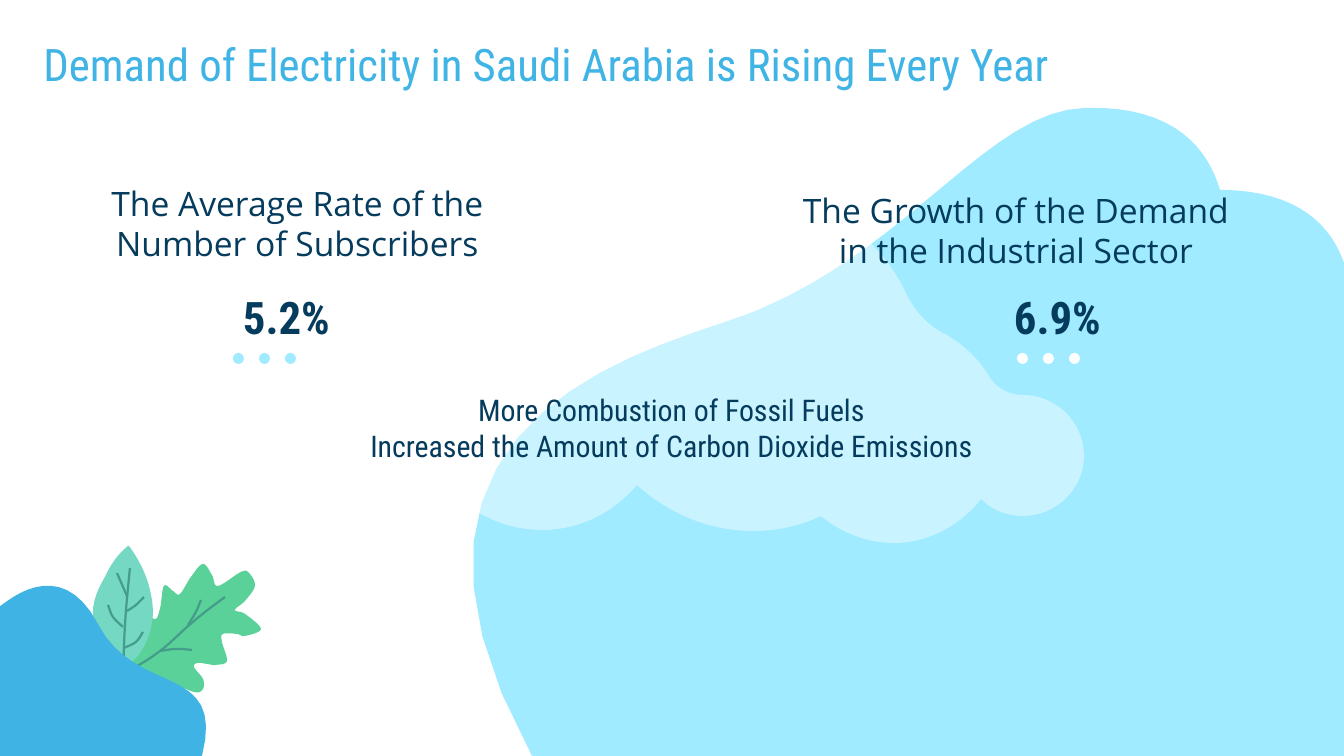
from lxml.etree import SubElement
from pptx import Presentation
from pptx.dml.color import RGBColor
from pptx.enum.shapes import MSO_SHAPE
from pptx.enum.text import MSO_ANCHOR, MSO_AUTO_SIZE, PP_ALIGN
from pptx.oxml.ns import qn
from pptx.util import Pt

PIXEL = 914400 / 134.4

THEME = {
    "title": "40B4E5", "ink": "053B5C", "blob": "A0EBFF", "hill": "3FB3E4",
    "oak": "5AD199", "leaf": "74D8C2", "vein": "439D8A", "white": "FFFFFF",
    "heading_font": "Roboto Condensed", "body_font": "Open Sans",
    "heading_size": 24, "body_size": 18, "note_size": 16,
    "body_spacing": 21.4, "vein_width": 1.2, "cloud_alpha": 44,
}

TITLE = ("Demand of Electricity in Saudi Arabia is Rising Every Year", (30, 23, 1133, 85))
LABELS = [
    ("The Average Rate of the Number of Subscribers", (95, 157, 405, 106)),
    ("The Growth of the Demand in the Industrial Sector", (781, 185, 470, 85)),
]
FIGURES = [("5.2%", (95, 276, 383, 73)), ("6.9%", (866, 276, 383, 73))]
NOTE = (
    "More Combustion of Fossil Fuels\nIncreased the Amount of Carbon Dioxide Emissions",
    (357, 378, 629, 129),
)
DOT_ROWS = [(233, "blob"), (1017, "white")]
DOT_TOP, DOT_SIZE, DOT_STEP, DOT_COUNT = 353, 11, 26, 3

OAK = [
    (203, 564), (191, 577), (180, 594), (173, 591), (164, 586), (160, 609),
    (154, 619), (136, 603), (128, 613), (134, 633), (134, 655), (130, 668),
    (148, 675), (165, 680), (194, 692), (203, 689), (203, 679), (194, 667),
    (198, 663), (207, 664), (216, 665), (227, 661), (222, 642), (223, 634),
    (237, 634), (245, 636), (261, 629), (245, 614), (235, 610), (245, 601),
    (255, 586), (249, 573), (241, 572), (218, 586), (212, 575),
]
OAK_VEINS = [
    [(225, 597), (205, 612), (187, 627), (165, 647), (144, 662), (130, 668), (93, 676)],
    [(161, 651), (176, 649), (192, 650)],
    [(201, 600), (196, 612), (188, 625)],
]
LEAF_VEINS = [
    [(130, 568), (126, 611), (124, 648), (124, 673)],
    [(117, 573), (127, 596)],
    [(108, 605), (113, 617), (123, 627)],
    [(144, 597), (136, 605), (127, 611)],
    [(143, 632), (136, 642), (124, 648)],
    [(107, 641), (113, 653), (122, 661)],
]

LEAF = [
    (128, 546), (117, 555, 110, 566, 105, 577), (99, 587, 94, 598, 93, 610),
    (93, 622, 97, 633, 101, 644), (106, 653, 112, 664, 122, 668),
    (142, 660, 152, 634, 153, 614), (153, 590, 144, 566, 129, 546),
]
HILL = [(0, 606), (3, 606, 59, 550, 98, 624), (136, 698, 226, 661, 202, 756), (0, 756)]
BLOB = [
    (1220, 190), (1209, 152, 1177, 105, 1085, 108), (991, 110, 913, 245, 758, 310),
    (677, 345, 337, 402, 532, 756), (1344, 756), (1344, 263),
    (1332, 228, 1300, 190, 1220, 190),
]
CLOUD = [
    (753, 195), (704, 195, 660, 215, 629, 249), (609, 270, 579, 282, 550, 282),
    (542, 282), (473, 282, 417, 337, 417, 406), (417, 474, 473, 530, 542, 530),
    (581, 530, 614, 512, 637, 485), (668, 513, 708, 531, 753, 531),
    (777, 531, 800, 526, 821, 516), (840, 532, 866, 543, 894, 543),
    (929, 543, 961, 525, 981, 499), (992, 510, 1007, 516, 1023, 516),
    (1056, 516, 1084, 489, 1084, 456), (1084, 422, 1056, 395, 1023, 395),
    (1009, 395, 996, 388, 989, 376), (978, 358, 962, 343, 943, 333),
    (927, 325, 914, 310, 906, 293), (879, 235, 821, 195, 753, 195),
]


def emu(*lengths):
    return [round(length * PIXEL) for length in lengths]


def color(name):
    return RGBColor.from_string(THEME[name])


def trace(segments, steps=16):
    points = [segments[0]]
    for segment in segments[1:]:
        if len(segment) == 2:
            points.append(segment)
            continue
        controls = [points[-1], segment[:2], segment[2:4], segment[4:]]
        for step in range(1, steps + 1):
            t = step / steps
            weights = ((1 - t) ** 3, 3 * t * (1 - t) ** 2, 3 * t * t * (1 - t), t ** 3)
            points.append(tuple(
                sum(weight * control[axis] for weight, control in zip(weights, controls))
                for axis in (0, 1)
            ))
    return points


def smooth(anchors, closed=False):
    if closed:
        anchors = [anchors[-1], *anchors, *anchors[:2]]
    else:
        anchors = [anchors[0], *anchors, anchors[-1]]
    segments = [anchors[1]]
    for before, start, end, after in zip(anchors, anchors[1:], anchors[2:], anchors[3:]):
        first = [start[axis] + (end[axis] - before[axis]) / 6 for axis in (0, 1)]
        second = [end[axis] - (after[axis] - start[axis]) / 6 for axis in (0, 1)]
        segments.append((*first, *second, *end))
    return trace(segments, 8)


def paint(shape, fill):
    shape.shadow.inherit = False
    shape.fill.solid()
    shape.fill.fore_color.rgb = color(fill)
    shape.line.fill.background()


def add_outline(slide, points, closed=True):
    builder = slide.shapes.build_freeform(*emu(*points[0]))
    builder.add_line_segments([emu(*point) for point in points[1:]], close=closed)
    return builder.convert_to_shape()


def add_area(slide, points, fill, alpha=None):
    shape = add_outline(slide, points)
    paint(shape, fill)
    if alpha:
        rgb = shape.fill._xPr.find(".//" + qn("a:srgbClr"))
        SubElement(rgb, qn("a:alpha")).set("val", str(alpha * 1000))


def add_veins(slide, veins):
    for vein in veins:
        shape = add_outline(slide, smooth(vein), closed=False)
        shape.shadow.inherit = False
        shape.fill.background()
        shape.line.color.rgb = color("vein")
        shape.line.width = Pt(THEME["vein_width"])


def write(shape, text, box, font, size, ink="ink", bold=False,
          align=PP_ALIGN.CENTER, anchor=MSO_ANCHOR.TOP, spacing=None):
    shape.left, shape.top, shape.width, shape.height = emu(*box)
    frame = shape.text_frame
    frame.text = text
    frame.word_wrap = True
    frame.auto_size = MSO_AUTO_SIZE.NONE
    frame.vertical_anchor = anchor
    margin = Pt(7.2)
    frame.margin_left = frame.margin_right = frame.margin_top = margin
    frame.margin_bottom = 0 if anchor == MSO_ANCHOR.BOTTOM else margin
    for paragraph in frame.paragraphs:
        paragraph.alignment = align
        if spacing:
            paragraph.line_spacing = Pt(spacing)
        for run in paragraph.runs:
            run.font.name = THEME[font]
            run.font.size = Pt(THEME[size])
            run.font.bold = bold
            run.font.color.rgb = color(ink)


def add_text(slide, text, box, *style, **options):
    write(slide.shapes.add_textbox(*emu(*box)), text, box, *style, **options)


def main():
    presentation = Presentation()
    presentation.slide_width, presentation.slide_height = emu(1344, 756)
    slide = presentation.slides.add_slide(presentation.slide_layouts[5])

    add_area(slide, smooth(OAK, closed=True), "oak")
    add_veins(slide, OAK_VEINS)
    add_area(slide, trace(LEAF), "leaf")
    add_veins(slide, LEAF_VEINS)
    add_area(slide, trace(HILL), "hill")
    add_area(slide, trace(BLOB), "blob")
    add_area(slide, trace(CLOUD), "white", THEME["cloud_alpha"])

    write(slide.shapes.title, *TITLE, "heading_font", "heading_size", "title",
          align=PP_ALIGN.LEFT)
    for text, box in LABELS:
        add_text(slide, text, box, "body_font", "body_size",
                 anchor=MSO_ANCHOR.BOTTOM, spacing=THEME["body_spacing"])
    for text, box in FIGURES:
        add_text(slide, text, box, "heading_font", "heading_size", bold=True)
    add_text(slide, *NOTE, "heading_font", "note_size")

    for left, fill in DOT_ROWS:
        for index in range(DOT_COUNT):
            box = emu(left + index * DOT_STEP, DOT_TOP, DOT_SIZE, DOT_SIZE)
            paint(slide.shapes.add_shape(MSO_SHAPE.OVAL, *box), fill)

    presentation.save("out.pptx")


if __name__ == "__main__":
    main()
